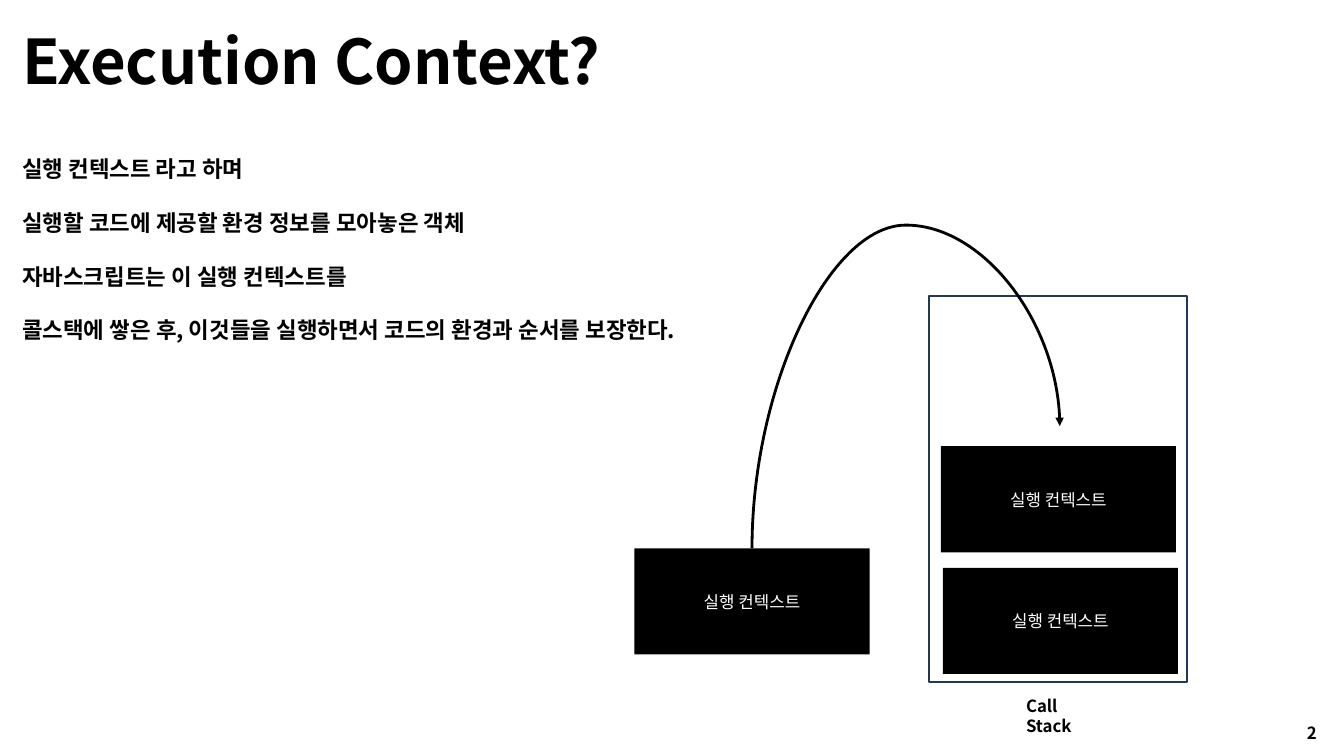
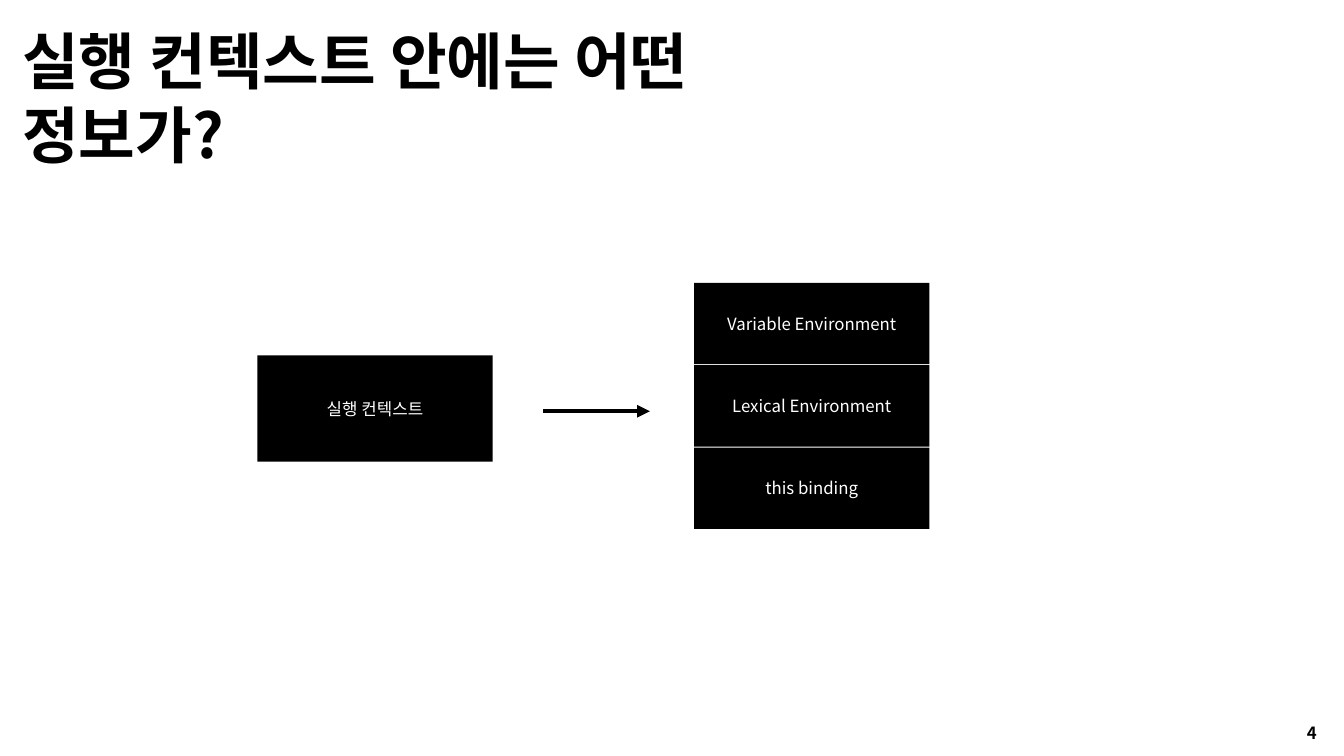
from lxml import etree
from pptx import Presentation
from pptx import util as u
from pptx.dml.color import RGBColor
from pptx.enum import shapes, text
from pptx.oxml import ns

FONT = "Noto Sans CJK KR"
COLORS = {"ink": "000000", "paper": "FFFFFF", "frame": "233953"}
BOX_SIZE = (3.5, 1.58)
CONTEXT = "실행 컨텍스트"
TITLE_ONLY, TITLE_AND_BODY = 5, 1


def color(name):
    """Return the palette colour with this name."""
    return RGBColor.from_string(COLORS[name])


def add_child(parent, tag, **attributes):
    """Append a DrawingML element to a parent."""
    return etree.SubElement(parent, ns.qn(tag), attributes)


def place(shape, left, top, width, height):
    """Move and size a shape, in inches."""
    shape.left, shape.top = u.Inches(left), u.Inches(top)
    shape.width, shape.height = u.Inches(width), u.Inches(height)


def write_text(shape, content, size=18, ink="ink", bold=True, align=text.PP_ALIGN.LEFT,
               anchor=text.MSO_ANCHOR.TOP, wrap=True, gap=0):
    """Fill a shape with one unbulleted paragraph per line of content."""
    frame = shape.text_frame
    frame.word_wrap = wrap
    frame.auto_size = text.MSO_AUTO_SIZE.NONE
    frame.vertical_anchor = anchor
    for index, line in enumerate(content.split("\n")):
        paragraph = frame.add_paragraph() if index else frame.paragraphs[0]
        properties = paragraph._p.get_or_add_pPr()
        properties.set("marL", "0")
        properties.set("indent", "0")
        add_child(properties, "a:buNone")
        paragraph.alignment = align
        paragraph.space_before = u.Pt(gap if index else 0)
        run = paragraph.add_run()
        run.text = line
        run.font.size = u.Pt(size)
        run.font.bold = bold
        run.font.color.rgb = color(ink)
        run.font.name = FONT
        add_child(run._r.get_or_add_rPr(), "a:ea", typeface=FONT)


def add_slide(presentation, layout, title, number):
    """Add a slide with its title and page number."""
    slide = presentation.slides.add_slide(presentation.slide_layouts[layout])
    place(slide.shapes.title, 0.23, 0.29, 12.6, 1.21)
    write_text(slide.shapes.title, title, size=66)
    add_label(slide, number, 19.35, 10.71, 0.36, 0.4, wrap=False)
    return slide


def add_label(slide, content, left, top, width, height, **style):
    """Add a text box."""
    label = slide.shapes.add_textbox(0, 0, 0, 0)
    place(label, left, top, width, height)
    write_text(label, content, **style)


def add_rectangle(slide, left, top, width, height):
    """Add a plain rectangle without shadow."""
    rectangle = slide.shapes.add_shape(shapes.MSO_SHAPE.RECTANGLE, 0, 0, 0, 0)
    place(rectangle, left, top, width, height)
    rectangle.shadow.inherit = False
    return rectangle


def add_box(slide, content, left, top, width=BOX_SIZE[0], height=BOX_SIZE[1]):
    """Add a black box with a centred white caption."""
    box = add_rectangle(slide, left, top, width, height)
    box.fill.solid()
    box.fill.fore_color.rgb = color("ink")
    box.line.fill.background()
    write_text(box, content, ink="paper", bold=False, align=text.PP_ALIGN.CENTER,
               anchor=text.MSO_ANCHOR.MIDDLE)


def add_frame(slide, left, top, width, height):
    """Add an unfilled outlined frame."""
    frame = add_rectangle(slide, left, top, width, height)
    frame.fill.background()
    frame.line.color.rgb = color("frame")
    frame.line.width = u.Pt(2)


def add_arrow(slide, start, end, weight, kind=shapes.MSO_CONNECTOR.STRAIGHT):
    """Add a connector with an arrowhead at its end."""
    points = [u.Inches(value) for value in (*start, *end)]
    arrow = slide.shapes.add_connector(kind, *points)
    arrow.line.color.rgb = color("ink")
    arrow.line.width = u.Pt(weight)
    add_child(arrow.line._get_or_add_ln(), "a:tailEnd", type="triangle")
    add_child(arrow._element.spPr, "a:effectLst")
    return arrow


def add_arched_arrow(slide, start, end, peak, weight):
    """Add a curved arrow that rises to a peak and comes down at its end."""
    center_x, center_y = (start[0] + end[0]) / 2, (start[1] + end[1]) / 2
    half_run, half_rise = (end[0] - start[0]) / 2, (start[1] - end[1]) / 2
    arrow = add_arrow(slide, (center_x + half_rise, center_y + half_run),
                      (center_x - half_rise, center_y - half_run), weight,
                      shapes.MSO_CONNECTOR.CURVE)
    properties = arrow._element.spPr
    properties.find(ns.qn("a:xfrm")).set("rot", str(90 * 60000))
    geometry = properties.find(ns.qn("a:prstGeom"))
    adjustments = geometry.find(ns.qn("a:avLst"))
    if adjustments is None:
        adjustments = add_child(geometry, "a:avLst")
    bend = round((start[1] - peak) / (start[1] - end[1]) * 100000)
    add_child(adjustments, "a:gd", name="adj1", fmla=f"val {bend}")


def build_call_stack(presentation):
    """Explain the execution context and how it enters the call stack."""
    slide = add_slide(presentation, TITLE_AND_BODY, "Execution Context?", "2")
    body = slide.placeholders[1]
    place(body, 0.23, 2.26, 10.27, 2.93)
    write_text(body, "실행 컨텍스트 라고 하며\n"
                     "실행할 코드에 제공할 환경 정보를 모아놓은 객체\n"
                     "자바스크립트는 이 실행 컨텍스트를\n"
                     "콜스택에 쌓은 후, 이것들을 실행하면서 코드의 환경과 순서를 보장한다.",
               size=24, gap=28.8)
    add_frame(slide, 13.83, 4.4, 3.83, 5.75)
    add_label(slide, "Call Stack", 15.17, 10.3, 1.3, 0.7)
    for left, top in ((14.03, 8.45), (14, 6.64), (9.44, 8.16)):
        add_box(slide, CONTEXT, left, top)
    add_arched_arrow(slide, (11.19, 8.16), (15.77, 6.34), 3.35, 3)


def build_context_parts(presentation):
    """Show what an execution context holds."""
    slide = add_slide(presentation, TITLE_ONLY, "실행 컨텍스트 안에는 어떤 정보가?", "4")
    add_box(slide, CONTEXT, 3.83, 5.29)
    add_arrow(slide, (8.08, 6.12), (9.67, 6.12), 4.5)
    parts = ("Variable Environment", "Lexical Environment", "this binding")
    for index, part in enumerate(parts):
        add_box(slide, part, 10.33, 4.21 + 1.225 * index, height=1.21)


def main():
    """Build and save the presentation."""
    presentation = Presentation()
    presentation.slide_width = u.Inches(20)
    presentation.slide_height = u.Inches(11.25)
    build_call_stack(presentation)
    build_context_parts(presentation)
    presentation.save("out.pptx")


if __name__ == "__main__":
    main()
